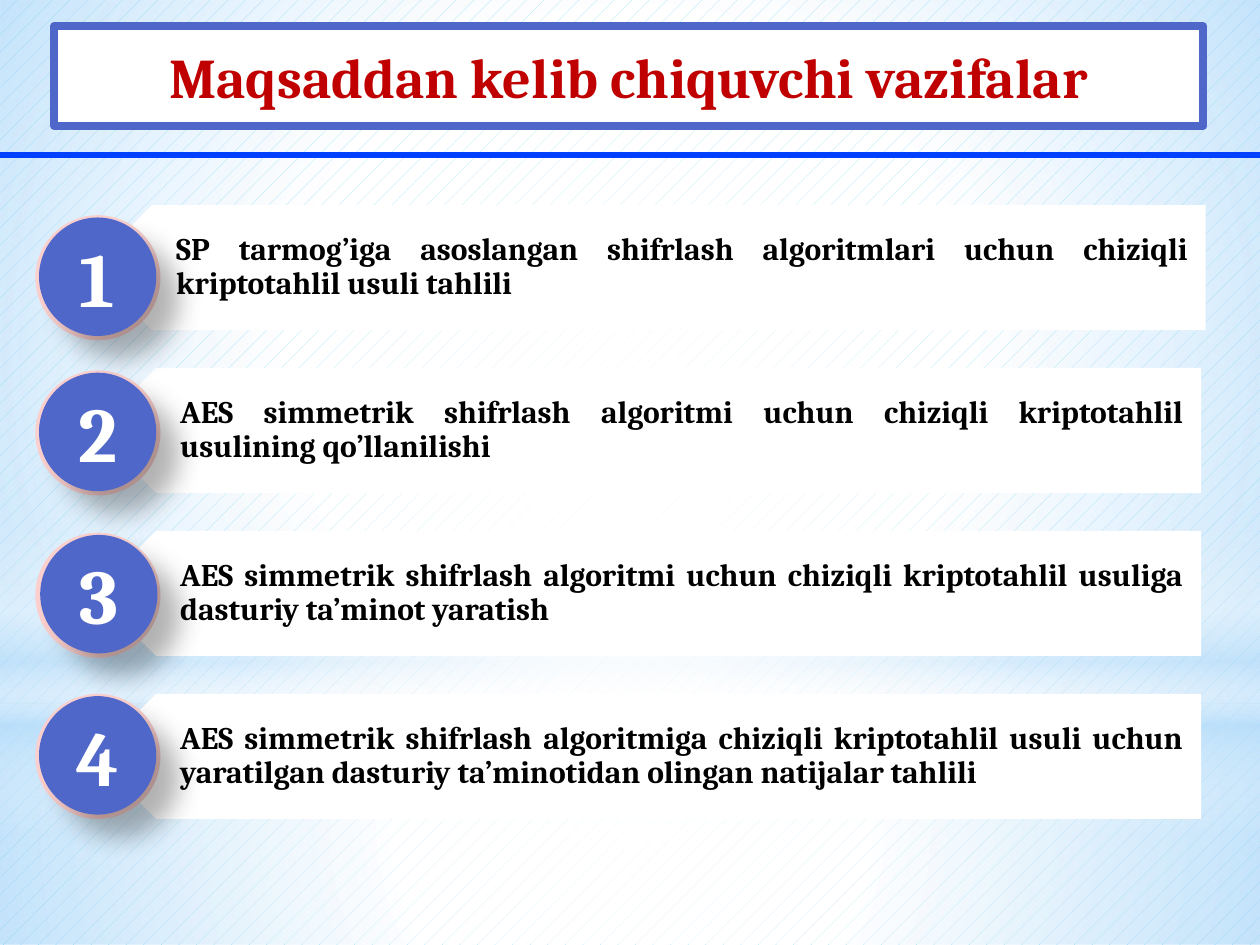
from lxml import etree
from pptx import Presentation, util as u
from pptx.dml.color import RGBColor
from pptx.enum import dml, shapes, text
from pptx.oxml import ns, parse_xml

WHITE, SKY, BLUE, PINK = "FFFFFF", "B4DCFA", "4E67C8", "FACFCD"


def colour(code):
    return RGBColor.from_string(code)


def drawing_xml(body):
    """Build one DrawingML element given with the a: prefix."""
    tag, rest = body.split(">", 1)
    return parse_xml(f"{tag} {ns.nsdecls('a')}>{rest}")


def colour_xml(code, opacity):
    return (f'<a:srgbClr val="{code}"><a:alpha val="{opacity * 1000}"/>'
            "</a:srgbClr>")


class Painter:
    font = "Cambria"

    def __init__(self, page):
        self.page = page

    def finish(self, shape, fill):
        shape.shadow.inherit = False
        shape.fill.solid()
        shape.fill.fore_color.rgb = colour(fill)
        shape.line.fill.background()

    def shape(self, kind, left, top, width, height, fill):
        shape = self.page.shapes.add_shape(
            kind, *(u.Pt(n) for n in (left, top, width, height)))
        self.finish(shape, fill)
        return shape

    def glow(self, kind, top, height, stops, linear=False):
        """Full-width shape with a see-through gradient."""
        shape = self.shape(kind, 0, top, 720, height, WHITE)
        marks = "".join(f'<a:gs pos="{place * 1000}">{colour_xml(code, opacity)}</a:gs>'
                        for place, code, opacity in stops)
        course = ('<a:lin ang="5400000" scaled="0"/>' if linear else
                  '<a:path path="circle"><a:fillToRect l="50000" t="50000" '
                  'r="50000" b="50000"/></a:path>')
        properties = shape._element.spPr
        solid = properties.find(ns.qn("a:solidFill"))
        properties.replace(solid, drawing_xml(
            f"<a:gradFill><a:gsLst>{marks}</a:gsLst>{course}</a:gradFill>"))

    def label(self, shape, words, size, ink, align=text.PP_ALIGN.CENTER):
        frame = shape.text_frame
        frame.word_wrap = True
        frame.vertical_anchor = text.MSO_ANCHOR.MIDDLE
        para = frame.paragraphs[0]
        para.text = words
        para.alignment = align
        para.font.name, para.font.size, para.font.bold = self.font, u.Pt(size), True
        para.font.color.rgb = colour(ink)
        return frame

    def bar(self, left, top, width, words):
        """White banner whose left end is a point."""
        height, tip = 71.5, 36
        right, bottom = left + width, top + height
        corners = [(left + tip, bottom), (left, top + height / 2),
                   (left + tip, top), (right, top)]
        builder = self.page.shapes.build_freeform(u.Pt(right), u.Pt(bottom))
        builder.add_line_segments([(u.Pt(x), u.Pt(y)) for x, y in corners])
        shape = builder.convert_to_shape()
        self.finish(shape, WHITE)
        frame = self.label(shape, words, 18, "000000", text.PP_ALIGN.JUSTIFY)
        frame.paragraphs[0].line_spacing = 0.9
        frame.margin_left, frame.margin_right = u.Pt(49.7), u.Pt(10)
        frame.margin_top = frame.margin_bottom = u.Pt(5.5)

    def badge(self, left, top, number):
        shape = self.shape(shapes.MSO_SHAPE.FLOWCHART_CONNECTOR,
                           left, top, 67, 67.7, BLUE)
        effects = shape._element.spPr.find(ns.qn("a:effectLst"))
        effects.append(drawing_xml(
            f'<a:outerShdw blurRad="{u.Pt(15)}" dist="{u.Pt(18)}" dir="2700000" '
            f'algn="tl" rotWithShape="0">{colour_xml("000000", 30)}</a:outerShdw>'))
        self.label(shape, str(number), 44, WHITE)

    def rule(self, top, ink, weight):
        line = self.page.shapes.add_connector(
            shapes.MSO_CONNECTOR.STRAIGHT, u.Pt(-8), u.Pt(top), u.Pt(726.5), u.Pt(top))
        line.line.color.rgb = colour(ink)
        line.line.width = u.Pt(weight)
        etree.SubElement(line._element.spPr, ns.qn("a:effectLst"))

    def title(self, words):
        shape = self.shape(shapes.MSO_SHAPE.RECTANGLE, 31, 15, 656.6, 57, WHITE)
        shape.line.color.rgb = colour(BLUE)
        shape.line.width = u.Pt(4.5)
        self.label(shape, words, 32, "C00000")


# Task text, bar left, ring top, badge left
TASKS = [
    ("SP tarmog’iga asoslangan shifrlash algoritmlari uchun chiziqli "
     "kriptotahlil usuli tahlili", 51, 123, 22.3),
    ("AES simmetrik shifrlash algoritmi uchun chiziqli kriptotahlil "
     "usulining qo’llanilishi", 53.3, 211.7, 22.3),
    ("AES simmetrik shifrlash algoritmi uchun chiziqli kriptotahlil usuliga "
     "dasturiy ta’minot yaratish", 53.3, 304.4, 23),
    ("AES simmetrik shifrlash algoritmiga chiziqli kriptotahlil usuli uchun "
     "yaratilgan dasturiy ta’minotidan olingan natijalar tahlili", 53.3, 396.5, 22.3),
]


def main():
    deck = Presentation()
    deck.slide_width, deck.slide_height = u.Pt(720), u.Pt(540)
    page = deck.slides.add_slide(deck.slide_layouts[6])
    painter = Painter(page)

    # Background pattern and glows
    ground = page.background.fill
    ground.patterned()
    ground.pattern = dml.MSO_PATTERN.PERCENT_5
    ground.fore_color.rgb = colour("00B0F0")
    ground.back_color.rgb = colour(WHITE)
    box, oval = shapes.MSO_SHAPE.RECTANGLE, shapes.MSO_SHAPE.OVAL
    painter.glow(box, 402, 138, [(0, WHITE, 91), (37, WHITE, 76), (100, SKY, 79)])
    painter.glow(box, 0, 402, [(0, WHITE, 89), (48, WHITE, 62), (100, SKY, 79)])
    painter.glow(box, 297, 180, [(0, WHITE, 0), (29, WHITE, 30), (45, SKY, 40),
                                 (55, WHITE, 26), (65, SKY, 60), (100, WHITE, 0)],
                 linear=True)
    painter.glow(oval, 126, 402, [(0, WHITE, 100), (56, WHITE, 0)])

    # Bars and rings
    for row, (words, left, ring_top, _) in enumerate(TASKS):
        painter.bar(left, 117.2 + 93.1 * row, 689 - left if row == 0 else 633, words)
        painter.shape(oval, 20.2, ring_top, 71.5, 71.5, PINK)

    # Rule, numbers and title
    painter.rule(88.5, "0040FF", 3)
    for number, (_, _, ring_top, left) in enumerate(TASKS, 1):
        painter.badge(left, ring_top + 1.3, number)
    painter.title("Maqsaddan kelib chiquvchi vazifalar")

    deck.save("out.pptx")


if __name__ == "__main__":
    main()
